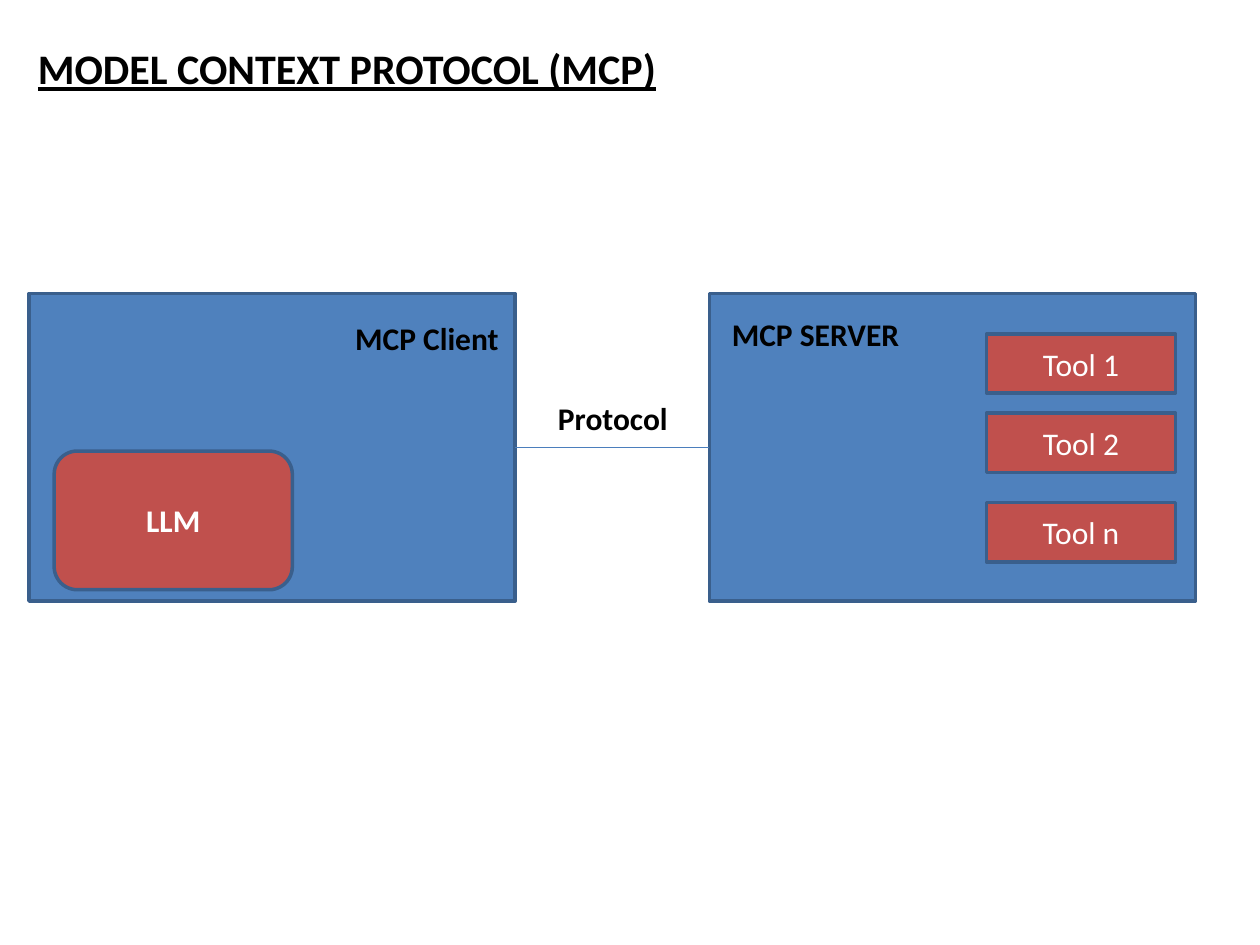
from lxml import etree
from pptx import Presentation
from pptx.dml.color import RGBColor
from pptx.enum.shapes import MSO_CONNECTOR, MSO_SHAPE
from pptx.enum.text import MSO_ANCHOR, MSO_AUTO_SIZE, PP_ALIGN
from pptx.oxml.ns import qn
from pptx.util import Inches, Pt

RECTANGLE, ROUNDED = MSO_SHAPE.RECTANGLE, MSO_SHAPE.ROUNDED_RECTANGLE
STRAIGHT = MSO_CONNECTOR.STRAIGHT
TOP, MIDDLE = MSO_ANCHOR.TOP, MSO_ANCHOR.MIDDLE
LEFT, CENTER = PP_ALIGN.LEFT, PP_ALIGN.CENTER
FIT_SHAPE, FIT_NONE = MSO_AUTO_SIZE.SHAPE_TO_FIT_TEXT, MSO_AUTO_SIZE.NONE

BLUE = RGBColor(0x4F, 0x81, 0xBD)
RED = RGBColor(0xC0, 0x50, 0x4D)
OUTLINE = RGBColor(0x3A, 0x5F, 0x8C)
LINK = RGBColor(0x4B, 0x7E, 0xBC)
WHITE = RGBColor(0xFF, 0xFF, 0xFF)
BLACK = RGBColor(0x00, 0x00, 0x00)

presentation = Presentation()
presentation.slide_width, presentation.slide_height = Inches(10), Inches(7.5)
column = presentation.slide_width / 100
row = presentation.slide_height / 100
slide = presentation.slides.add_slide(presentation.slide_layouts[5])


def write(shape, text, color, alignment, anchor, bold=True, size=18, underline=None):
    frame = shape.text_frame
    frame.text = text
    frame.vertical_anchor = anchor
    paragraph = frame.paragraphs[0]
    paragraph.alignment = alignment
    formats = {"name": "Calibri", "size": Pt(size), "bold": bold, "underline": underline}
    for name, value in formats.items():
        setattr(paragraph.font, name, value)
    paragraph.font.color.rgb = color


def add_box(kind, left, top, width, height, fill):
    shape = slide.shapes.add_shape(
        kind, round(left * column), round(top * row), round(width * column), round(height * row)
    )
    shape.shadow.inherit = False
    shape.fill.solid()
    shape.fill.fore_color.rgb = fill
    shape.line.color.rgb = OUTLINE
    shape.line.width = Pt(2)
    return shape


client_left, server_left = 2.3, 56.3
panel_top, panel_width, panel_height = 31.07, 38.6, 32.53
for panel_left in (client_left, server_left):
    add_box(RECTANGLE, panel_left, panel_top, panel_width, panel_height, BLUE)

model = add_box(ROUNDED, 4.3, 47.73, 18.9, 14.67, RED)
write(model, "LLM", WHITE, CENTER, MIDDLE)

for tool_name, tool_top in (("Tool 1", 35.33), ("Tool 2", 43.73), ("Tool n", 53.2)):
    tool = add_box(RECTANGLE, 78.3, tool_top, 15, 6.27, RED)
    write(tool, tool_name, WHITE, CENTER, MIDDLE, bold=False)

labels = (
    ("MCP SERVER", 57.1, 32.67, 17.3, True),
    ("MCP Client", 27.2, 33.07, 17.3, True),
    ("Protocol", 43.3, 41.6, 10.8, False),
)
for text, left, top, width, wraps in labels:
    label = slide.shapes.add_textbox(
        round(left * column), round(top * row), round(width * column), round(5.33 * row)
    )
    label.text_frame.word_wrap = wraps
    label.text_frame.auto_size = FIT_SHAPE
    write(label, text, BLACK, LEFT, TOP)

link_row = round((panel_top + panel_height / 2) * row)
link = slide.shapes.add_connector(
    STRAIGHT, round((client_left + panel_width) * column), link_row,
    round(server_left * column), link_row,
)
link.line.color.rgb = LINK
link.line.width = Pt(0.75)
etree.SubElement(link._element.spPr, qn("a:effectLst"))

title = slide.shapes.title
title_place = {"left": 2 * column, "top": 3.87 * row, "width": 54.3 * column, "height": 6.67 * row}
for name, value in title_place.items():
    setattr(title, name, round(value))
title.text_frame.word_wrap = True
title.text_frame.auto_size = FIT_NONE
write(title, "MODEL CONTEXT PROTOCOL (MCP)", BLACK, LEFT, TOP, size=24, underline=True)

presentation.save("out.pptx")
